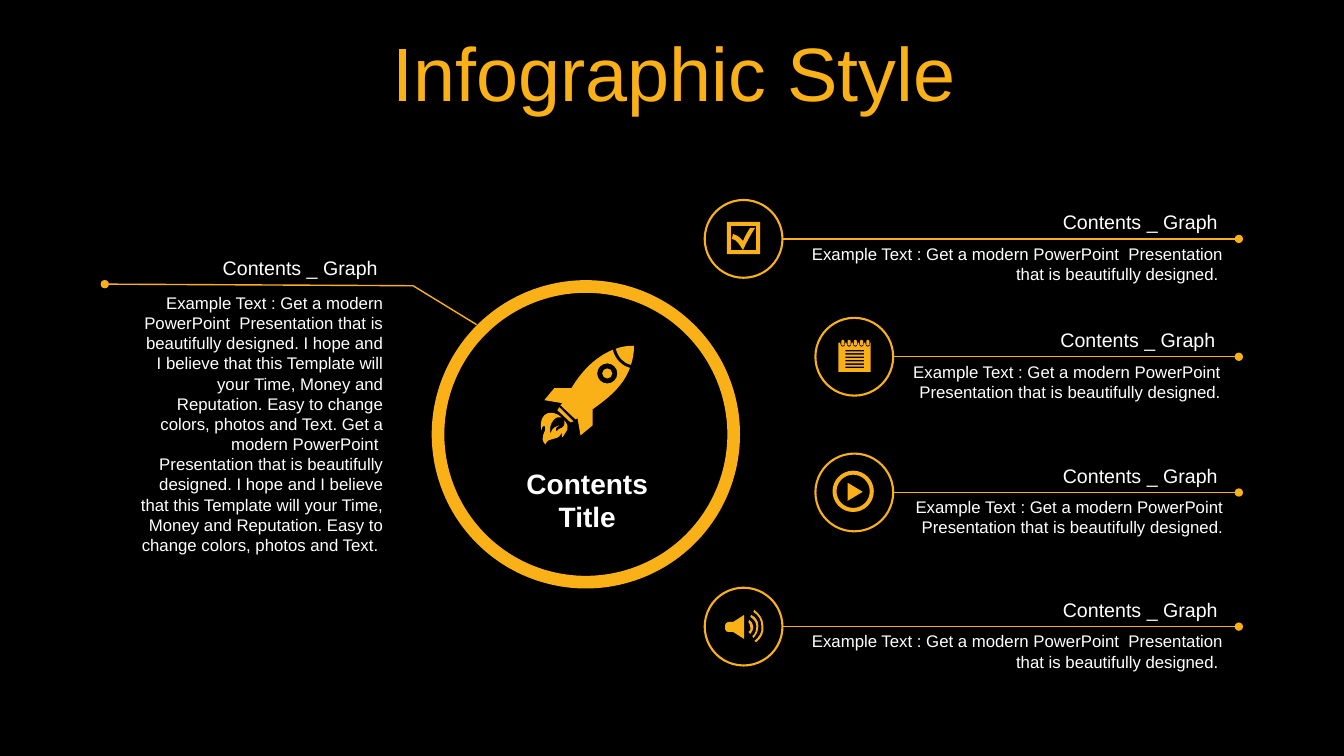
from dataclasses import dataclass

from lxml import etree
from pptx import Presentation
from pptx.dml.color import RGBColor
from pptx.enum.shapes import MSO_CONNECTOR, MSO_SHAPE
from pptx.enum.text import MSO_ANCHOR, PP_ALIGN
from pptx.oxml.ns import qn
from pptx.util import Cm, Pt

CENTER, RIGHT = PP_ALIGN.CENTER, PP_ALIGN.RIGHT
TOP, MIDDLE = MSO_ANCHOR.TOP, MSO_ANCHOR.MIDDLE
STRAIGHT = MSO_CONNECTOR.STRAIGHT
OVAL, DONUT = MSO_SHAPE.OVAL, MSO_SHAPE.DONUT


@dataclass(frozen=True)
class Theme:
    font: str = "Arial"
    back: RGBColor = RGBColor(0x00, 0x00, 0x00)
    accent: RGBColor = RGBColor(0xFA, 0xB1, 0x17)
    text: RGBColor = RGBColor(0xFF, 0xFF, 0xFF)
    title_size: int = 54
    center_size: int = 20
    heading_size: int = 14
    body_size: int = 12


THEME = Theme()
ICON_UNIT = Cm(2.54) / 100
BADGE = 1.96
LINE_END = 31.22

HEADING = "Contents _ Graph "
SHORT_TEXT = "Example Text : Get a modern PowerPoint  Presentation that is beautifully designed. "
LONG_TEXT = (
    "Example Text : Get a modern PowerPoint  Presentation that is beautifully designed. "
    "I hope and I believe that this Template will your Time, Money and Reputation. "
    "Easy to change colors, photos and Text. Get a modern PowerPoint  Presentation "
    "that is beautifully designed. I hope and I believe that this Template will your "
    "Time, Money and Reputation. Easy to change colors, photos and Text. "
)


# Icon outlines, in icon units: M move, L line, C cubic curve, Z close
def circle(cx, cy, r):
    k = 0.55 * r
    return (f"M {cx} {cy - r} C {cx + k} {cy - r} {cx + r} {cy - k} {cx + r} {cy} "
            f"C {cx + r} {cy + k} {cx + k} {cy + r} {cx} {cy + r} "
            f"C {cx - k} {cy + r} {cx - r} {cy + k} {cx - r} {cy} "
            f"C {cx - r} {cy - k} {cx - k} {cy - r} {cx} {cy - r} Z ")


def notepad():
    rings = [4.3 + 6.2 * i for i in range(5)]
    rules = [10 + 3.35 * i for i in range(6)]
    page = "M 0 3 " + "".join(
        f"L {c - 2.4} 3 L {c - 2.4} 4 C {c - 2.4} 6 {c - 1.3} 7 {c} 7 "
        f"C {c + 1.3} 7 {c + 2.4} 6 {c + 2.4} 4 L {c + 2.4} 3 " for c in rings)
    page += "L 32 3 L 32 32 L 0 32 Z "
    page += "".join(
        f"M {c} 0 C {c + 1} 0 {c + 1.5} 0.5 {c + 1.5} 1 L {c + 1.5} 5 "
        f"C {c + 1.5} 5.5 {c + 1} 6 {c} 6 C {c - 1} 6 {c - 1.5} 5.5 {c - 1.5} 5 "
        f"L {c - 1.5} 1 C {c - 1.5} 0.5 {c - 1} 0 {c} 0 Z " for c in rings)
    return page + "".join(
        f"M 7 {y} L 25.5 {y} L 25.5 {y + 1.5} L 7 {y + 1.5} Z " for y in rules)


ROCKET = (
    "M 57 114 C 52 112 44 119 46 130 C 48 124 52 123 55 122 C 54 123 50 124 52 128 "
    "C 55 123 61 127 60 117 C 67 126 61 128 58 134 C 57 133 58 127 57 130 "
    "C 52 139 45 132 41 141 C 34 133 43 128 41 123 C 40 122 38 122 37 127 "
    "C 34 106 50 107 57 114 Z "
    "M 55 104 L 69 118 C 68 118 67 119 66 119 L 53 107 Z "
    "M 108 47 C 110 56 117 63 125 65 C 118 84 102 96 88 106 L 88 122 L 76 132 "
    "L 73 115 L 71 116 L 56 102 C 57 101 57 101 58 100 L 40 97 L 50 85 L 67 85 "
    "C 76 70 89 55 108 47 Z "
    "M 129 43 C 129 50 128 56 126 62 C 118 60 113 54 111 46 C 116 44 122 43 129 43 Z "
    + circle(102.5, 70.5, 10) + circle(102.5, 70.5, 5)
)
CHECKBOX = (
    "M 4 4 L 4 28 L 16 28 C 13 24 10 17 5 17 L 6 12 C 12 14 13 16 16 19 "
    "C 18 14 20 11 23 6 L 28 6 C 24 12 19 21 16 28 L 29 28 L 29 4 Z "
    "M 0 0 L 33 0 L 33 32 L 0 32 Z"
)
SPEAKER = (
    "M 43 15 C 45 16 47 19 47 22 C 47 24 46 27 44 29 L 42 27 C 44 26 45 24 44 22 "
    "C 44 20 43 18 42 17 Z "
    "M 45 10 C 49 12 52 16 52 21 C 52 26 50 30 47 33 L 46 31 C 49 29 50 25 50 21 "
    "C 50 17 47 14 44 12 Z "
    "M 38 10 L 38 34 L 27 27 L 22 27 C 21 27 19 26 19 24 L 19 20 "
    "C 19 19 21 17 22 17 L 27 17 Z "
    "M 48 5 C 53 9 57 14 57 21 C 58 27 55 33 50 37 L 48 36 C 53 32 56 27 55 21 "
    "C 55 15 52 10 47 7 Z"
)
PLAY = "M 15 12 L 30 21 L 15 30 Z " + circle(20.5, 20.5, 16.5) + circle(20.5, 20.5, 20.5)


def contour_points(contour):
    nums = [float(t) * ICON_UNIT for t in contour.split() if t not in "MLC"]
    return list(zip(nums[::2], nums[1::2]))


# Element builders, lengths in centimetres
def fill_accent(sp):
    sp.shadow.inherit = False
    sp.fill.solid()
    sp.fill.fore_color.rgb = THEME.accent
    sp.line.fill.background()


def add_icon(s, x, y, outline):
    first, *others = [contour_points(c) for c in outline.split("Z") if c.strip()]
    builder = s.shapes.build_freeform(*first[0])
    builder.add_line_segments(first[1:])
    for points in others:
        builder.move_to(*points[0])
        builder.add_line_segments(points[1:])
    sp = builder.convert_to_shape(Cm(x), Cm(y))
    fill_accent(sp)

    # Every C step was laid down as three line points: merge them into a curve
    steps = [t for t in outline.split() if t in ("L", "C")]
    segments = iter([
        seg for seg in sp._element.iter(qn("a:lnTo"))
        if seg.getparent().tag != qn("a:ln")])
    for step in steps:
        seg = next(segments)
        if step == "C":
            seg.tag = qn("a:cubicBezTo")
            for extra in (next(segments), next(segments)):
                seg.append(extra[0])
                extra.getparent().remove(extra)


def add_text(s, x, y, w, h, lines, size, align=RIGHT, color=THEME.text, bold=False, anchor=TOP):
    tf = s.shapes.add_textbox(Cm(x), Cm(y), Cm(w), Cm(h)).text_frame
    tf.word_wrap = True
    tf.vertical_anchor = anchor
    for i, line in enumerate(lines):
        p = tf.add_paragraph() if i else tf.paragraphs[0]
        p.alignment = align
        r = p.add_run()
        r.text = line
        r.font.name, r.font.size, r.font.bold = THEME.font, Pt(size), bold
        r.font.color.rgb = color
    return tf


def add_line(s, x1, y1, x2, y2, dot=None):
    line = s.shapes.add_connector(STRAIGHT, Cm(x1), Cm(y1), Cm(x2), Cm(y2))
    line.line.color.rgb = THEME.accent
    line.line.width = Pt(1)
    if dot:
        etree.SubElement(line.line._get_or_add_ln(), qn(f"a:{dot}"), type="oval")
    etree.SubElement(line._element.spPr, qn("a:effectLst"))


def add_item(s, x, y, text_right, text_width, icon_x, icon_y, outline):
    badge = s.shapes.add_shape(OVAL, Cm(x), Cm(y), Cm(BADGE), Cm(BADGE))
    badge.shadow.inherit = False
    badge.fill.background()
    badge.line.color.rgb = THEME.accent
    badge.line.width = Pt(1.5)
    middle = y + BADGE / 2
    left = text_right - text_width
    add_line(s, x + BADGE, middle, LINE_END, middle, dot="tailEnd")
    add_text(s, left, middle - 0.01, text_width, 1.27, [SHORT_TEXT], THEME.body_size)
    add_text(s, left, middle - 0.85, text_width, 0.86, [HEADING], THEME.heading_size)
    add_icon(s, icon_x, icon_y, outline)


def main():
    prs = Presentation()
    prs.slide_width, prs.slide_height = Cm(33.87), Cm(19.05)
    s = prs.slides.add_slide(prs.slide_layouts[6])
    s.background.fill.solid()
    s.background.fill.fore_color.rgb = THEME.back

    # Title
    tf = add_text(s, 0.91, 0.94, 32.16, 2.01, ["Infographic Style"], THEME.title_size,
                  CENTER, THEME.accent, anchor=MIDDLE)
    tf.paragraphs[0].line_spacing = 0.9
    tf.paragraphs[0].space_before = Pt(10)

    # Central ring
    ring = s.shapes.add_shape(DONUT, Cm(10.88), Cm(7.06), Cm(7.77), Cm(7.77))
    ring.adjustments[0] = 0.041
    fill_accent(ring)
    add_icon(s, 12.7, 7.62, ROCKET)
    add_text(s, 12.78, 11.62, 4.04, 1.96, ["Contents", "Title"], THEME.center_size,
             CENTER, bold=True)

    # Left callout
    add_text(s, 3.2, 7.25, 6.71, 6.93, [LONG_TEXT], THEME.body_size)
    add_text(s, 3.2, 6.32, 6.71, 0.86, [HEADING], THEME.heading_size)
    add_line(s, 2.64, 7.16, 10.41, 7.2, dot="headEnd")
    add_line(s, 10.41, 7.2, 12.01, 8.18)

    # Right items
    add_item(s, 17.76, 5.04, 31.08, 11.25, 18.32, 5.59, CHECKBOX)
    add_item(s, 20.55, 8.01, 31.02, 8.31, 21.13, 8.56, notepad())
    add_item(s, 20.55, 11.43, 31.08, 8.31, 20.98, 11.86, PLAY)
    add_item(s, 17.76, 14.81, 31.08, 11.25, 17.79, 15.24, SPEAKER)

    prs.save("out.pptx")


if __name__ == "__main__":
    main()
